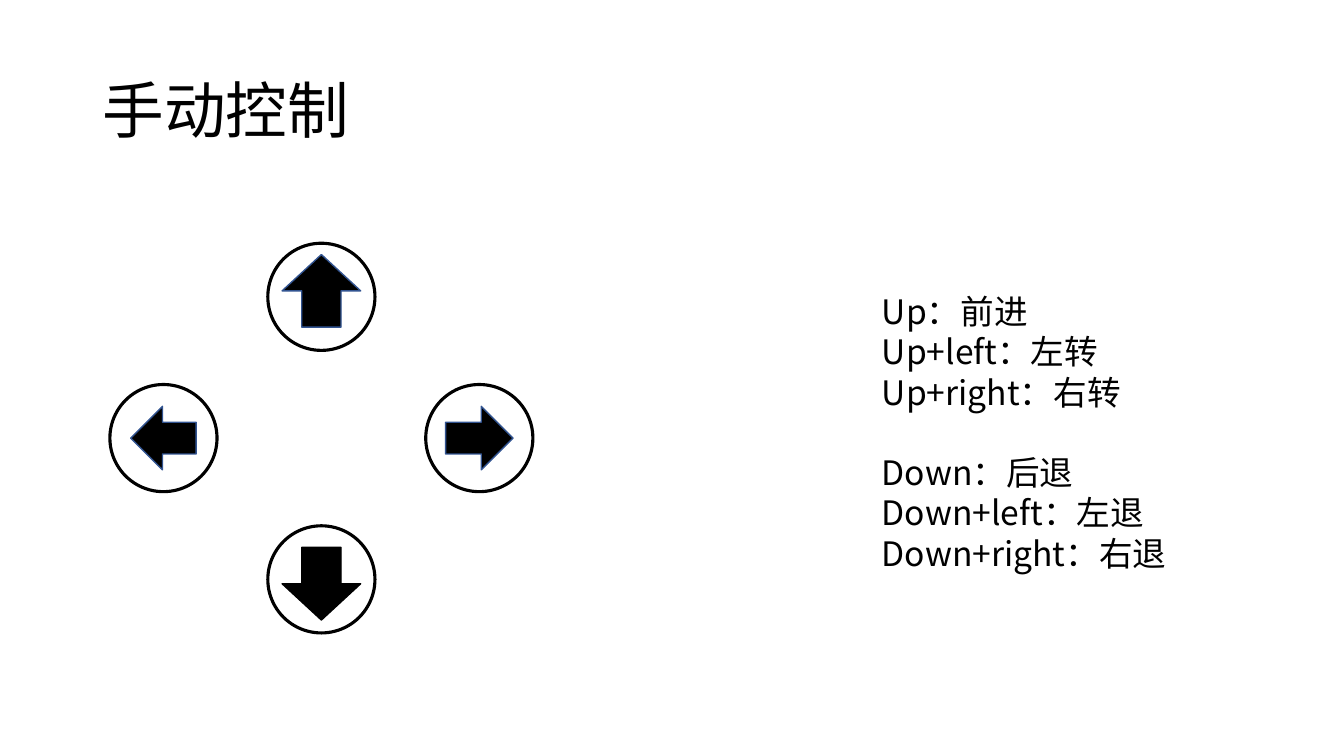
from dataclasses import dataclass
from lxml.etree import SubElement
from pptx import Presentation
from pptx.dml.color import RGBColor as RGB
from pptx.enum.shapes import MSO_SHAPE as Kind
from pptx.enum.text import MSO_ANCHOR as Anchor, MSO_AUTO_SIZE as Fit, PP_ALIGN as Align
from pptx.oxml.ns import qn
from pptx.util import Cm, Pt

# Content
TITLE = "手动控制"
GROUPS = [
    ["Up：前进", "Up+left：左转", "Up+right：右转"],
    ["Down：后退", "Down+left：左退", "Down+right：右退"],
]
# Arrow kind, column and row from the pad's middle, width, height, drop, edge colour
KEYS = [
    (Kind.UP_ARROW, 0, -1, 1.98, 1.83, -0.15, "edge"),
    (Kind.DOWN_ARROW, 0, 1, 1.98, 1.83, 0.11, "ink"),
    (Kind.LEFT_ARROW, -1, 0, 1.65, 1.6, 0, "edge"),
    (Kind.RIGHT_ARROW, 1, 0, 1.7, 1.6, 0, "edge"),
]


@dataclass
class Theme:
    font: str = "Noto Sans CJK SC"
    ink: RGB = RGB(0, 0, 0)
    paper: RGB = RGB(255, 255, 255)
    edge: RGB = RGB(0x32, 0x54, 0x91)
    head: Pt = Pt(44)
    body: Pt = Pt(24)
    line: Pt = Pt(28.8)
    ring: Pt = Pt(2.25)
    thin: Pt = Pt(1)


theme = Theme()

# Control pad, in cm
MID_X, MID_Y = 8.1, 11.04
STEP_X, STEP_Y = 3.98, 3.56
RING = 2.7


def place(shape, left, top, width, height):
    shape.left, shape.top = Cm(left), Cm(top)
    shape.width, shape.height = Cm(width), Cm(height)


def style(para, size):
    para.alignment = Align.LEFT
    for run in para.runs:
        run.font.size = size
        run.font.color.rgb = theme.ink
        run.font.name = theme.font
        SubElement(run.font._element, qn("a:ea"), typeface=theme.font)


def draw(slide, kind, x, y, width, height, fill, edge, weight):
    """Add a shape centred on x, y."""
    shape = slide.shapes.add_shape(
        kind, Cm(x - width / 2), Cm(y - height / 2), Cm(width), Cm(height))
    shape.shadow.inherit = False
    shape.fill.solid()
    shape.fill.fore_color.rgb = fill
    shape.line.color.rgb = edge
    shape.line.width = weight


def add_title(slide):
    title = slide.shapes.title
    place(title, 2.33, 1.01, 29.21, 3.68)
    frame = title.text_frame
    frame.text = TITLE
    frame.vertical_anchor = Anchor.MIDDLE
    frame.auto_size = Fit.NONE
    para = frame.paragraphs[0]
    para.line_spacing = 0.9
    style(para, theme.head)


def add_list(slide):
    body = slide.placeholders[1]
    place(body, 21.97, 7.2, 8.59, 7.44)
    frame = body.text_frame
    frame.text = "\n".join(text for group in GROUPS for text in group)
    frame.vertical_anchor = Anchor.TOP
    frame.auto_size = Fit.NONE
    starts = [group[0] for group in GROUPS[1:]]
    for para in frame.paragraphs:
        para.line_spacing = theme.line
        para.space_before = theme.line if para.text in starts else Pt(0)
        style(para, theme.body)
        # No bullet, no indent
        props = para._p.get_or_add_pPr()
        props.set("marL", "0")
        props.set("indent", "0")
        SubElement(props, qn("a:buNone"))


def add_pad(slide):
    for kind, col, row, width, height, drop, edge in KEYS:
        x, y = MID_X + col * STEP_X, MID_Y + row * STEP_Y
        draw(slide, Kind.OVAL, x, y, RING, RING,
             theme.paper, theme.ink, theme.ring)
        draw(slide, kind, x, y + drop, width, height,
             theme.ink, getattr(theme, edge), theme.thin)


def main():
    deck = Presentation()
    deck.slide_width, deck.slide_height = Cm(33.87), Cm(19.05)
    slide = deck.slides.add_slide(deck.slide_layouts[1])
    add_title(slide)
    add_pad(slide)
    add_list(slide)
    deck.save("out.pptx")


if __name__ == "__main__":
    main()
